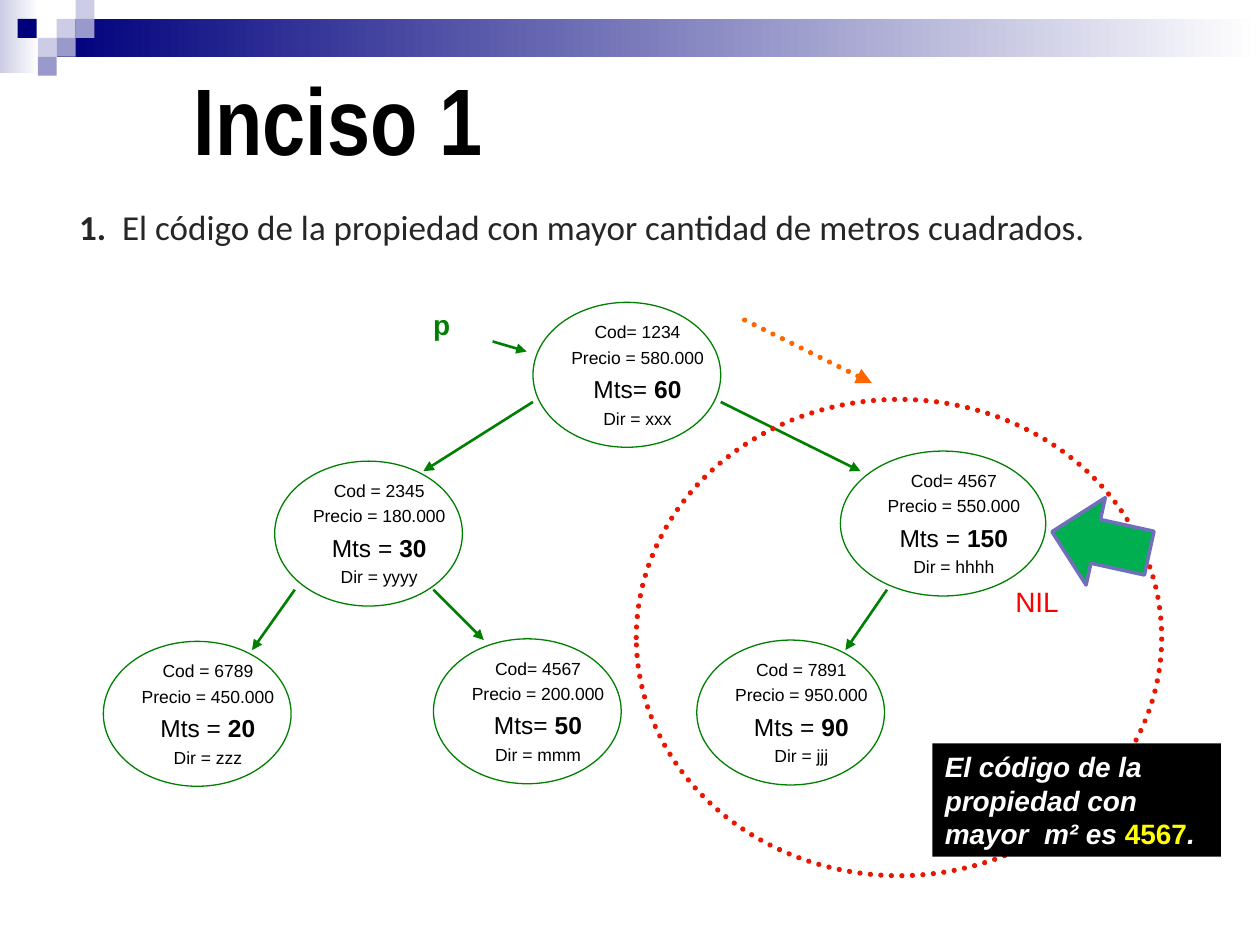
"""Build a slide that searches a binary tree for the largest property."""
from lxml import etree
from pptx import Presentation
from pptx.dml.color import RGBColor
from pptx.enum.dml import MSO_LINE
from pptx.enum.shapes import MSO_CONNECTOR, MSO_SHAPE
from pptx.enum.text import MSO_ANCHOR, PP_ALIGN
from pptx.oxml.ns import qn
from pptx.util import Inches, Pt

RECT, OVAL, ARROW = MSO_SHAPE.RECTANGLE, MSO_SHAPE.OVAL, MSO_SHAPE.RIGHT_ARROW
STRAIGHT, DOTS = MSO_CONNECTOR.STRAIGHT, MSO_LINE.ROUND_DOT
CENTER, JUSTIFY, MIDDLE = PP_ALIGN.CENTER, PP_ALIGN.JUSTIFY, MSO_ANCHOR.MIDDLE

NAVY, LILAC, PALE, WHITE, BLACK = "00007D", "9999CC", "CCCCE6", "FFFFFF", "000000"
GREEN, RED, ORANGE = "008000", "E91701", "FF6600"

BANDS = [((0, 0, 0.31, 0.58), PALE), ((0.45, 0.15, 9.55, 0.3), NAVY)]
TILE = 0.15
TILES = [
    (0.45, 0.15, PALE), (0.6, 0, PALE), (0.6, 0.15, LILAC), (0.3, 0.3, PALE),
    (0.14, 0.15, NAVY), (0.45, 0.3, LILAC), (0.3, 0.45, LILAC),
]
NODES = [
    (4.23, 2.4, 1.49, "Cod= 1234", "Precio = 580.000", "Mts= ", "60", "Dir = xxx"),
    (2.18, 3.66, 1.49, "Cod = 2345", "Precio = 180.000", "Mts = ", "30", "Dir = yyyy"),
    (6.67, 3.58, 1.63, "Cod= 4567", "Precio = 550.000", "Mts = ", "150", "Dir = hhhh"),
    (3.44, 5.07, 1.49, "Cod= 4567", "Precio = 200.000", "Mts= ", "50", "Dir = mmm"),
    (0.82, 5.09, 1.49, "Cod = 6789", "Precio = 450.000", "Mts = ", "20", "Dir = zzz"),
    (5.53, 5.08, 1.49, "Cod = 7891", "Precio = 950.000", "Mts = ", "90", "Dir = jjj"),
]
NODE_H = 1.15
EDGES = [
    (3.91, 2.71, 4.18, 2.79), (4.23, 3.19, 3.36, 3.74), (5.72, 3.19, 6.83, 3.74),
    (3.44, 4.68, 3.84, 5.08), (2.34, 4.68, 2, 5.16), (7.04, 4.68, 6.71, 5.16),
]
QUESTION = "  El código de la propiedad con mayor cantidad de metros cuadrados."
ANSWER = "El código de la propiedad con mayor  m² es "


def rgb(color):
    return RGBColor.from_string(color)


def inches(values):
    return [Inches(v) for v in values]


def add_shape(parent, kind, box, fill=None, line=None, width=0.75):
    sp = parent.add_shape(kind, *inches(box))
    sp.shadow.inherit = False
    if fill:
        sp.fill.solid()
        sp.fill.fore_color.rgb = rgb(fill)
    else:
        sp.fill.background()
    if line:
        sp.line.color.rgb = rgb(line)
        sp.line.width = Pt(width)
    else:
        sp.line.fill.background()
    return sp


def add_band(parent, box, color):
    sp = add_shape(parent, RECT, box, color)
    sp.fill.gradient()
    sp.fill.gradient_angle = 0
    for stop, shade, position in zip(sp.fill.gradient_stops, (color, WHITE), (0, 1)):
        stop.color.rgb = rgb(shade)
        stop.position = position


def dot_line(sp):
    sp.line.dash_style = DOTS
    sp.line._get_or_add_ln().set("cap", "rnd")


def add_arrow(parent, ends, color, width):
    cx = parent.add_connector(STRAIGHT, *inches(ends))
    cx.line.color.rgb = rgb(color)
    cx.line.width = Pt(width)
    etree.SubElement(cx.line._get_or_add_ln(), qn("a:tailEnd"), type="triangle")
    etree.SubElement(cx._element.spPr, qn("a:effectLst"))
    return cx


def add_box(parent, box, wrap=True):
    sp = parent.add_textbox(*inches(box))
    sp.text_frame.word_wrap = wrap
    return sp.text_frame


def add_run(p, text, size, color=BLACK, bold=False, italic=False, font="Arial"):
    r = p.add_run()
    r.text = text
    r.font.name, r.font.size = font, Pt(size)
    r.font.bold, r.font.italic = bold, italic
    r.font.color.rgb = rgb(color)


def set_indent(p, left, first):
    pPr = p._p.get_or_add_pPr()
    pPr.set("marL", str(Inches(left)))
    pPr.set("indent", str(Inches(first)))


def add_node(shapes, x, y, w, code, price, label, metres, address):
    group = shapes.add_group_shape().shapes
    add_shape(group, OVAL, (x, y, w, NODE_H), line=GREEN)
    tf = add_box(group, (x + 0.15, y + 0.07, w - 0.13, NODE_H - 0.14))
    lines = [
        [(code, 10)], [(price, 10)],
        [(label, 14), (metres, 14, BLACK, True)], [(address, 10)],
    ]
    for i, runs in enumerate(lines):
        p = tf.add_paragraph() if i else tf.paragraphs[0]
        p.alignment = CENTER
        set_indent(p, 0.38, -0.38)
        p.space_before = Pt(runs[0][1] / 4 if i else 0)
        for run in runs:
            add_run(p, *run)
    tf.margin_top = Inches(0.08)


def main():
    prs = Presentation()
    prs.slide_width, prs.slide_height = Inches(10), Inches(7.5)
    s = prs.slides.add_slide(prs.slide_layouts[6]).shapes

    for box, color in BANDS:
        add_band(s, box, color)
    for x, y, color in TILES:
        add_shape(s, RECT, (x, y, TILE, TILE), color)

    p = add_box(s, (0.53, 1.55, 9.37, 0.47)).paragraphs[0]
    p.line_spacing = 1.1
    add_run(p, "1.", 20, "262626", True, font="Calibri")
    add_run(p, QUESTION, 20, "262626", font="Calibri")

    for node in NODES:
        add_node(s, *node)
    for ends in EDGES:
        add_arrow(s, ends, GREEN, 1.5)

    add_run(add_box(s, (3.34, 2.39, 0.33, 0.37), False).paragraphs[0], "p", 16, GREEN, True)
    dot_line(add_arrow(s, (5.91, 2.54, 6.92, 3.04), ORANGE, 3))
    dot_line(add_shape(s, OVAL, (5.05, 3.17, 4.17, 3.78), line=RED, width=3))
    pointer = add_shape(s, ARROW, (8.34, 3.95, 0.79, 0.71), "00B050", "6F6FBC", 2)
    pointer.rotation = 192.4
    add_run(add_box(s, (7.96, 4.59, 0.55, 0.37)).paragraphs[0], "NIL", 16, "FF0000")

    add_shape(s, RECT, (7.4, 5.9, 2.29, 0.9), BLACK)
    p = add_box(s, (7.4, 5.9, 2.29, 0.9)).paragraphs[0]
    add_run(p, ANSWER, 16, WHITE, True, True)
    add_run(p, "4567", 16, "FFFF00", True)
    add_run(p, ".", 16, WHITE, True, True)

    tf = add_box(s, (0.44, 0.45, 9.36, 0.97))
    tf.vertical_anchor = MIDDLE
    p = tf.paragraphs[0]
    p.alignment = JUSTIFY
    set_indent(p, 1, 0)
    add_run(p, "Inciso 1", 54, bold=True, font="Arial Narrow")

    prs.save("out.pptx")


if __name__ == "__main__":
    main()
